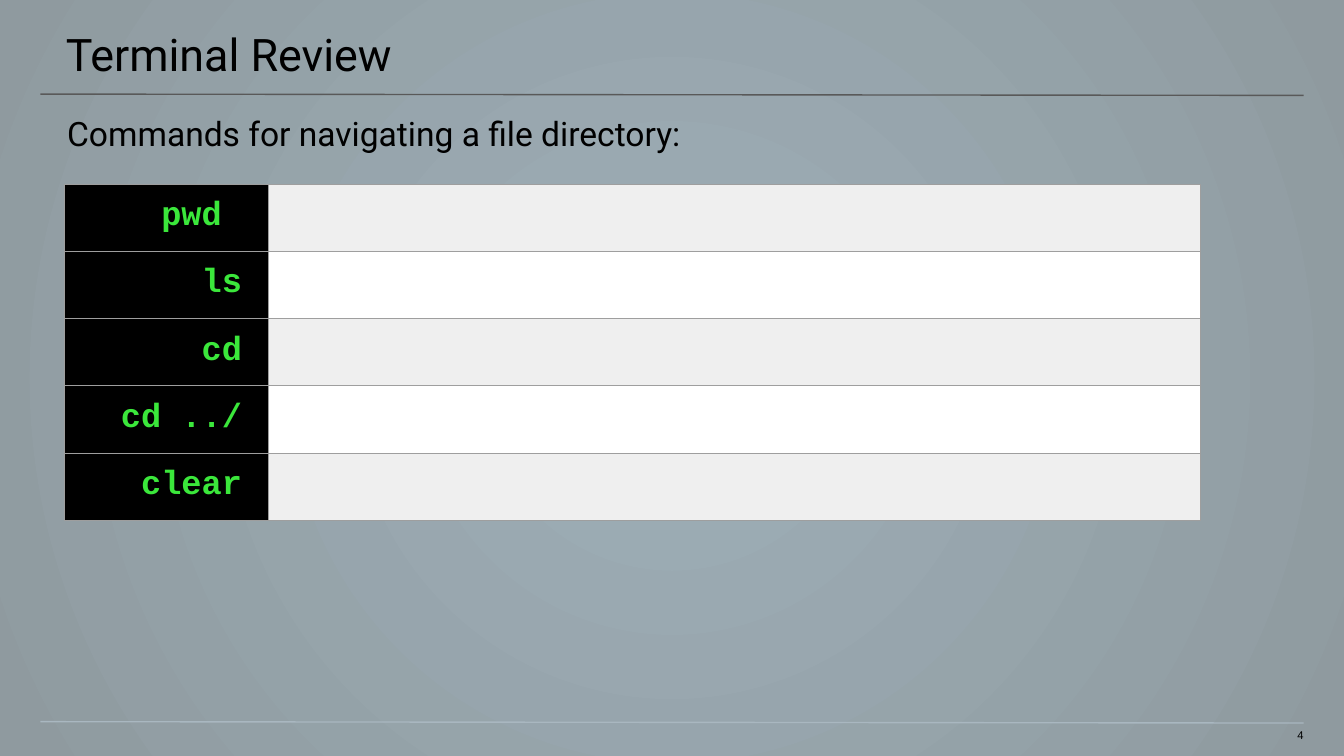
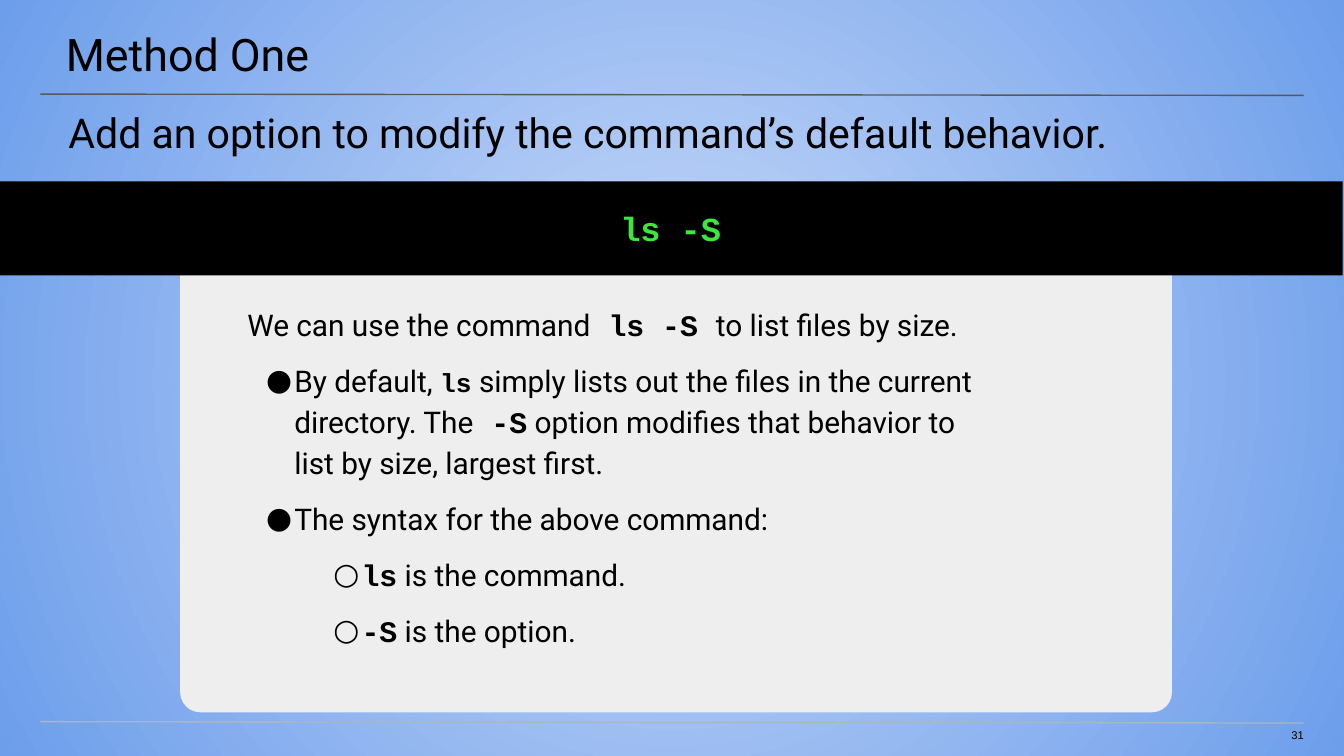
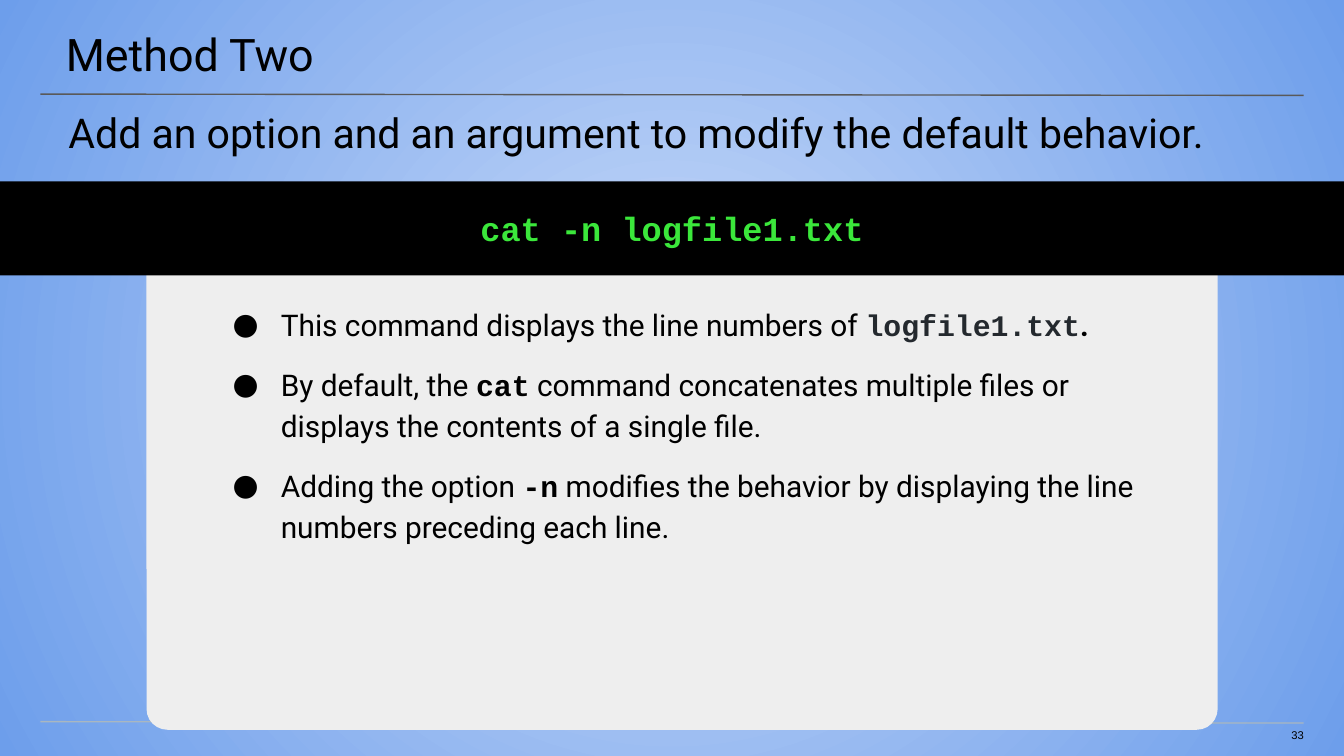
from dataclasses import dataclass

from lxml.etree import SubElement
from pptx import Presentation
from pptx.dml.color import RGBColor
from pptx.enum.shapes import MSO_CONNECTOR, MSO_SHAPE
from pptx.enum.text import MSO_ANCHOR, PP_ALIGN
from pptx.oxml.ns import qn
from pptx.util import Inches, Pt

COLORS = {
    "black": "000000",
    "white": "FFFFFF",
    "terminal": "3BE73B",
    "filename": "24292E",
    "title_rule": "595959",
    "footer_rule": "A9B7C0",
    "card": "EEEEEE",
    "stripe": "EFEFEF",
    "border": "9E9E9E",
    "slate_center": "9EAFB8",
    "slate_edge": "8F9A9F",
    "blue_center": "C9DAF8",
    "blue_edge": "6D9EEB",
}
SANS, MONO, FOOTER_FONT = "Roboto", "Courier New", "Arial"
BODY_SIZE, COMMAND_SIZE = 16, 18


@dataclass
class Strong:
    """A bold span inside body text, in the code font unless told otherwise."""
    text: str
    font: str = MONO
    size: int = BODY_SIZE
    color: str = "black"


@dataclass
class Item:
    """A body paragraph; spans are plain strings or Strong."""
    spans: list
    bullet: str = ""
    level: int = 0
    margin: float = 0
    hanging: float = 0


def rgb(name):
    return RGBColor.from_string(COLORS[name])


def set_font(font, name, size, color="black", bold=False):
    font.name, font.size, font.bold = name, Pt(size), bold
    font.color.rgb = rgb(color)


def set_insets(frame, left, top, right, bottom):
    frame.margin_left, frame.margin_top = Inches(left), Inches(top)
    frame.margin_right, frame.margin_bottom = Inches(right), Inches(bottom)


def paint_background(page, center, edge, center_alpha=None):
    """Fill the page with a radial gradient; center_alpha is a percentage."""
    fill = page.background.fill
    fill.gradient()
    for stop, color in zip(fill.gradient_stops, (center, edge)):
        stop.color.rgb = rgb(color)
    gradient = page.element.find(".//" + qn("a:gradFill"))
    if center_alpha:
        first_color = gradient.find(".//" + qn("a:srgbClr"))
        SubElement(first_color, qn("a:alpha"), val=str(center_alpha * 1000))
    gradient.remove(gradient.find(qn("a:lin")))
    circle = SubElement(gradient, qn("a:path"), {"path": "circle"})
    SubElement(circle, qn("a:fillToRect"), {side: "50000" for side in "ltrb"})


def add_rule(page, top, color):
    rule = page.shapes.add_connector(
        MSO_CONNECTOR.STRAIGHT, Inches(0.3), Inches(top), Inches(9.7), Inches(top + 0.01))
    rule.line.color.rgb = rgb(color)
    rule.line.width = Pt(0.75)
    SubElement(rule.element.spPr, qn("a:effectLst"))


def add_text(page, area, insets):
    box = page.shapes.add_textbox(*map(Inches, area))
    box.text_frame.word_wrap = True
    set_insets(box.text_frame, *insets)
    return box.text_frame


def add_line_of_text(page, text, area, insets, size, font=SANS, align=PP_ALIGN.LEFT):
    para = add_text(page, area, insets).paragraphs[0]
    para.text, para.alignment = text, align
    set_font(para.font, font, size)


def add_shape(page, kind, area, color):
    shape = page.shapes.add_shape(kind, *map(Inches, area))
    shape.shadow.inherit = False
    shape.fill.solid()
    shape.fill.fore_color.rgb = rgb(color)
    shape.line.fill.background()
    return shape


def add_page(deck, title, number, background, title_height=0.7):
    page = deck.slides.add_slide(deck.slide_layouts[6])
    paint_background(page, *background)
    add_rule(page, 0.7, "title_rule")
    add_rule(page, 5.37, "footer_rule")
    add_line_of_text(page, title, (-0.01, 0, 10.03, title_height),
                     (0.5, 0.2, 0.3, 0.1), 24)
    add_line_of_text(page, number, (9.41, 5.42, 0.29, 0.12), (0, 0, 0, 0.1), 6,
                     FOOTER_FONT, PP_ALIGN.RIGHT)
    return page


def add_card(page, left, width, height):
    """Draw a card that hangs below the command band, rounded at its bottom."""
    card = add_shape(page, MSO_SHAPE.ROUND_2_SAME_RECTANGLE,
                     (left, 1.98, width, height), "card")
    card.adjustments[0], card.adjustments[1] = 0.045, 0
    card.rotation = 180


def add_command_band(page, command, left):
    band = add_shape(page, MSO_SHAPE.RECTANGLE, (left, 1.35, 10, 0.7), "black")
    frame = band.text_frame
    frame.vertical_anchor = MSO_ANCHOR.MIDDLE
    set_insets(frame, 0.1, 0.1, 0.1, 0.1)
    para = frame.paragraphs[0]
    para.text, para.alignment, para.space_after = command, PP_ALIGN.CENTER, Pt(8)
    set_font(para.font, MONO, COMMAND_SIZE, "terminal", True)


def set_bullet(para, item):
    properties = para._p.get_or_add_pPr()
    properties.set("marL", str(Inches(item.margin)))
    properties.set("indent", str(-Inches(item.hanging)))
    color = SubElement(properties, qn("a:buClr"))
    SubElement(color, qn("a:srgbClr"), val=COLORS["black"])
    SubElement(properties, qn("a:buSzPts"), val=str(BODY_SIZE * 100))
    SubElement(properties, qn("a:buFont"), typeface=SANS)
    SubElement(properties, qn("a:buChar"), char=item.bullet)


def add_body(page, area, items, gap):
    """Write the items with gap points between them."""
    frame = add_text(page, area, (0.5, 0, 0.5, 0))
    for index, item in enumerate(items):
        para = frame.add_paragraph() if index else frame.paragraphs[0]
        para.level, para.line_spacing = item.level, 1.15
        if index:
            para.space_before = Pt(gap)
        if item.bullet:
            set_bullet(para, item)
        set_font(para.font, SANS, BODY_SIZE)
        for span in item.spans:
            run = para.add_run()
            if isinstance(span, Strong):
                run.text = span.text
                set_font(run.font, span.font, span.size, span.color, True)
            else:
                run.text = span


def add_borders(cell):
    properties = cell._tc.get_or_add_tcPr()
    for side in "LRTB":
        line = SubElement(properties, qn(f"a:ln{side}"), w=str(Pt(0.75)))
        fill = SubElement(line, qn("a:solidFill"))
        SubElement(fill, qn("a:srgbClr"), val=COLORS["border"])


def set_end_mark(para):
    """Give the paragraph end the command font, which governs the row height."""
    mark = SubElement(para._p, qn("a:endParaRPr"), sz=str(COMMAND_SIZE * 100))
    SubElement(mark, qn("a:latin"), typeface=MONO)


def add_command_table(page, commands):
    """List the commands beside blank cells for their meanings."""
    row_height = 0.47
    table = page.shapes.add_table(
        len(commands), 2, Inches(0.48), Inches(1.37),
        Inches(8.45), Inches(row_height * len(commands))).table
    table.first_row = table.horz_banding = False
    table.columns[0].width, table.columns[1].width = Inches(1.52), Inches(6.93)
    for index, command in enumerate(commands):
        name_cell, meaning_cell = table.rows[index].cells
        para = name_cell.text_frame.paragraphs[0]
        para.text, para.alignment = command, PP_ALIGN.RIGHT
        set_font(para.font, MONO, COMMAND_SIZE, "terminal", True)
        stripe = "white" if index % 2 else "stripe"
        for cell, color in ((name_cell, "black"), (meaning_cell, stripe)):
            add_borders(cell)
            cell.fill.solid()
            cell.fill.fore_color.rgb = rgb(color)
            set_insets(cell, 0.2, 0.1, 0.2, 0.1)
            set_end_mark(cell.text_frame.paragraphs[0])


def add_method_page(deck, title, number, lead, lead_height, command, band_left,
                    card, body_area, items, gap):
    page = add_page(deck, title, number, ("blue_center", "blue_edge"))
    add_card(page, *card)
    add_body(page, body_area, items, gap)
    add_command_band(page, command, band_left)
    add_line_of_text(page, lead, (0.03, 0.7, 10, lead_height), (0.48, 0.1, 0.1, 0.1), 22)


def add_review_page(deck):
    page = add_page(deck, "Terminal Review", "4", ("slate_center", "slate_edge", 32), 0.58)
    add_line_of_text(page, "Commands for navigating a file directory:",
                     (0, 0.74, 10, 0.4), (0.5, 0.1, 0.5, 0), 18)
    add_command_table(page, ["pwd ", "ls", "cd", "cd ../", "clear"])


def add_method_one(deck):
    outer = {"bullet": "●", "margin": 0.35, "hanging": 0.21}
    inner = {"bullet": "○", "level": 1, "margin": 0.85, "hanging": 0.21}
    items = [
        Item(["We can use the command", Strong(" ls -S "), "to list files by size."]),
        Item(["By default, ", Strong("ls", size=14),
              " simply lists out the files in the current directory. The", Strong(" -S"),
              " option modifies that behavior to list by size, largest first."], **outer),
        Item(["The syntax for the above command:"], **outer),
        Item([Strong("ls"), " is the command."], **inner),
        Item([Strong("-S"), " is the option."], **inner),
    ]
    add_method_page(deck, "Method One", "31",
                    "Add an option to modify the command’s default behavior.", 0.7,
                    "ls -S", -0.01,
                    (1.34, 7.38, 3.32), (1.34, 2.24, 6.61, 1.69), items, 8)


def add_method_two(deck):
    bullet = {"bullet": "●", "margin": 0.5, "hanging": 0.36}
    items = [
        Item(["This command displays the line numbers of ",
              Strong("logfile1.txt", color="filename"), Strong(".", font=SANS)], **bullet),
        Item(["By default, the ", Strong("cat"), " command concatenates multiple files "
              "or displays the contents of a single file."], **bullet),
        Item(["Adding the option ", Strong("-n"), " modifies the behavior by displaying "
              "the line numbers preceding each line."], **bullet),
    ]
    add_method_page(deck, "Method Two", "33",
                    "Add an option and an argument to modify the default behavior.", 1.05,
                    "cat -n logfile1.txt", 0,
                    (1.09, 7.97, 3.45), (1.09, 2.24, 7.94, 2.4), items, 10)


def main():
    deck = Presentation()
    deck.slide_width = Inches(10)
    deck.slide_height = deck.slide_width * 9 // 16
    add_review_page(deck)
    add_method_one(deck)
    add_method_two(deck)
    deck.save("out.pptx")


if __name__ == "__main__":
    main()
